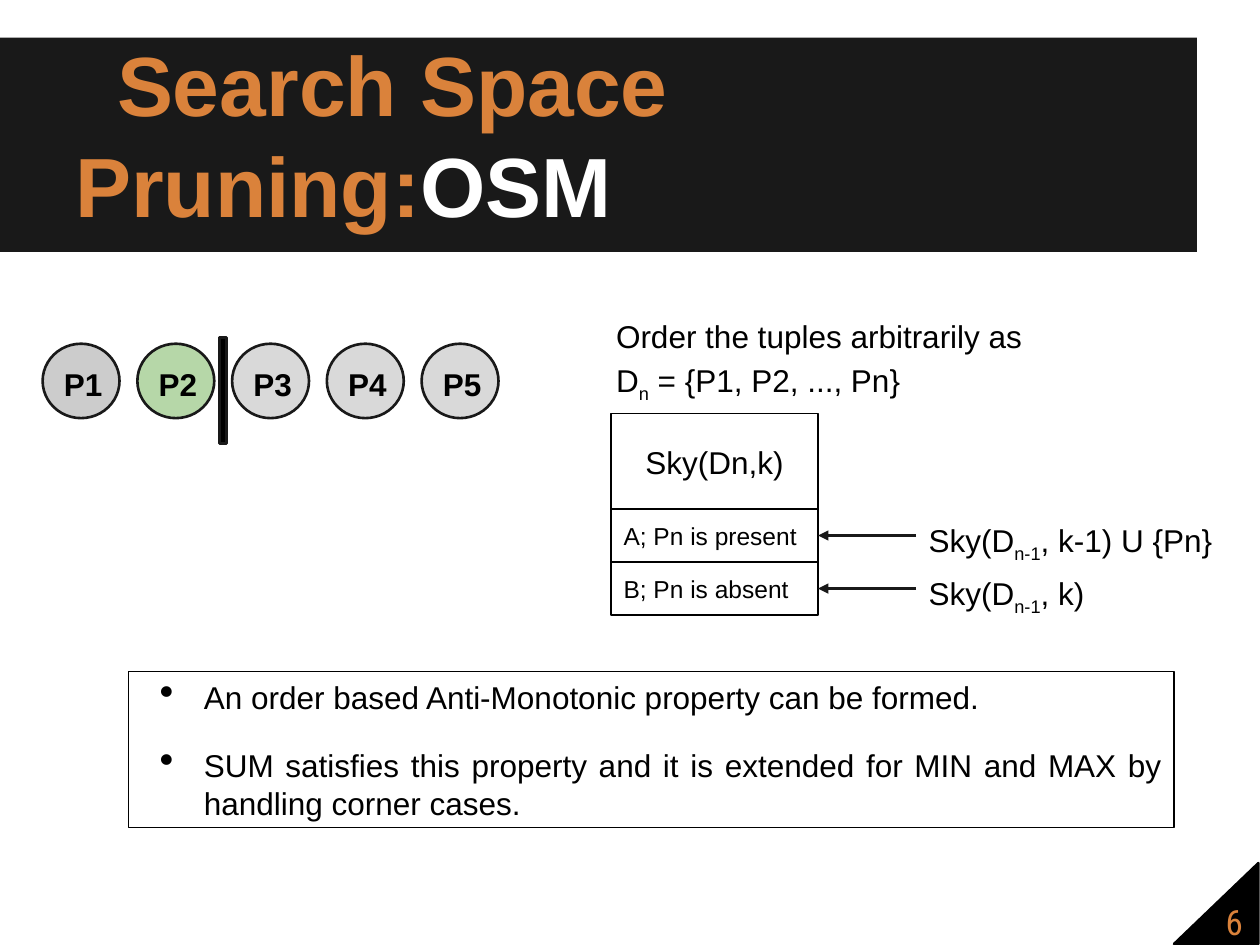
from lxml.etree import SubElement
from pptx import Presentation
from pptx.dml.color import RGBColor
from pptx.enum.shapes import MSO_CONNECTOR, MSO_SHAPE
from pptx.enum.text import MSO_ANCHOR, PP_ALIGN
from pptx.oxml.ns import qn
from pptx.util import Cm, Pt

BLACK, CHARCOAL, ORANGE, WHITE = "000000", "191919", "DA823B", "FFFFFF"
GREY, DARK_GREY, GREEN = "D9D9D9", "CCCCCC", "B6D7A8"
INSET = Cm(0.25)
BODY = {"name": "Arial", "size": Pt(18), "bold": False}
SMALL = BODY | {"size": Pt(14)}
BOLD = BODY | {"bold": True}
TITLE = BOLD | {"size": Pt(48)}
NUMBER = {"name": "Roboto Condensed", "size": Pt(20)}


def rgb(hex_color):
    return RGBColor.from_string(hex_color)


def apply(target, values):
    for attribute, value in values.items():
        setattr(target, attribute, value)


def add_box(slide, at, kind=MSO_SHAPE.RECTANGLE, fill=None, line=None, width=0.75):
    box = slide.shapes.add_shape(kind, *map(Cm, at))
    box.shadow.inherit = False
    if fill:
        box.fill.solid()
        box.fill.fore_color.rgb = rgb(fill)
    else:
        box.fill.background()
    if line:
        box.line.color.rgb = rgb(line)
        box.line.width = Pt(width)
    else:
        box.line.fill.background()
    return box


def add_text(slide, at, paragraphs, font=BODY, **layout):
    label = slide.shapes.add_textbox(*map(Cm, at))
    write(label, paragraphs, font, **layout)
    return label


def write(shape, paragraphs, font=BODY, color=BLACK, anchor=MSO_ANCHOR.TOP, **layout):
    """Fill a shape; a paragraph is a string or a list of (text, color, baseline)."""
    frame = shape.text_frame
    apply(frame, {"word_wrap": True, "vertical_anchor": anchor,
                  "margin_left": INSET, "margin_right": INSET,
                  "margin_top": INSET, "margin_bottom": INSET})
    for index, content in enumerate(paragraphs):
        paragraph = frame.add_paragraph() if index else frame.paragraphs[0]
        apply(paragraph, {"alignment": PP_ALIGN.LEFT} | layout)
        pieces = [(content, color, 0)] if isinstance(content, str) else content
        for text, piece_color, baseline in pieces:
            run = paragraph.add_run()
            run.text = text
            apply(run.font, font)
            run.font.color.rgb = rgb(piece_color)
            if baseline:
                run.font._element.set("baseline", str(baseline))


def subscripted(before, subscript, after):
    return [(before, BLACK, 0), (subscript, BLACK, -25000), (after, BLACK, 0)]


def indent(paragraph, left, first):
    properties = paragraph._p.get_or_add_pPr()
    properties.set("marL", str(Cm(left)))
    properties.set("indent", str(Cm(first)))
    return properties


def add_bullet(paragraph):
    properties = indent(paragraph, 1.27, -0.89)
    color = SubElement(properties, qn("a:buClr"))
    SubElement(color, qn("a:srgbClr"), val=BLACK)
    SubElement(properties, qn("a:buSzPct"), val="130000")
    SubElement(properties, qn("a:buChar"), char="•")


def add_arrow(slide, label, cell):
    """Point from the left side of a label to the right side of a cell."""
    arrow = slide.shapes.add_connector(MSO_CONNECTOR.STRAIGHT, 0, 0, 0, 0)
    arrow.begin_connect(label, 1)
    arrow.end_connect(cell, 3)
    arrow.line.color.rgb = rgb(CHARCOAL)
    arrow.line.width = Pt(1.5)
    SubElement(arrow.line._get_or_add_ln(), qn("a:tailEnd"), type="triangle")
    SubElement(arrow._element.spPr, qn("a:effectLst"))


def add_title(slide):
    add_box(slide, (0, 0.76, 24.13, 4.32), fill=CHARCOAL)
    title = add_text(slide, (1.27, 0.76, 23.04, 4.22),
                     [[("Search Space Pruning:", ORANGE, 0), ("OSM", WHITE, 0)]],
                     TITLE, anchor=MSO_ANCHOR.BOTTOM)
    indent(title.text_frame.paragraphs[0], 0, 0.84)


def add_findings(slide):
    findings = add_box(slide, (2.59, 13.54, 21.08, 3.15), line=BLACK)
    write(findings,
          ["An order based Anti-Monotonic property can be formed.",
           "SUM satisfies this property and it is extended for MIN and MAX by "
           "handling corner cases."],
          anchor=MSO_ANCHOR.MIDDLE, alignment=PP_ALIGN.JUSTIFY)
    first, second = findings.text_frame.paragraphs
    second.space_before = Pt(17)
    add_bullet(first)
    add_bullet(second)


def add_page_corner(slide):
    corner = add_box(slide, (23.67, 17.4, 1.7, 1.63), MSO_SHAPE.RIGHT_TRIANGLE,
                     BLACK, BLACK, 1.5)
    corner._element.spPr.get_or_add_xfrm().set("flipH", "1")
    add_text(slide, (24.26, 18.14, 1.24, 0.89), ["6"], NUMBER, color=ORANGE,
             anchor=MSO_ANCHOR.MIDDLE, alignment=PP_ALIGN.CENTER)


def add_recursion(slide):
    add_text(slide, (12.17, 6.02, 12.09, 1.73),
             ["Order the tuples arbitrarily as",
              subscripted("D", "n", " = {P1, P2, ..., Pn}")], line_spacing=1.15)
    left, width, height = 12.32, 4.17, 1.07
    skyline = add_box(slide, (left, 8.33, width, 1.95), line=BLACK)
    write(skyline, ["Sky(Dn,k)"], anchor=MSO_ANCHOR.MIDDLE,
          alignment=PP_ALIGN.CENTER)
    cases = [("A; Pn is present", ", k-1) U {Pn}"), ("B; Pn is absent", ", k)")]
    for row, (case, ending) in enumerate(cases):
        top = 10.26 + row * height
        cell = add_box(slide, (left, top, width, height), line=BLACK)
        write(cell, [case], SMALL)
        subproblem = add_text(slide, (18.47, top, 6.7, height),
                              [subscripted("Sky(D", "n-1", ending)])
        add_arrow(slide, subproblem, cell)


def add_tuples(slide):
    top = 6.93
    for index, fill in enumerate([DARK_GREY, GREEN, GREY, GREY, GREY]):
        left = 0.86 + index * 1.91
        add_box(slide, (left, top, 1.55, 1.5), MSO_SHAPE.OVAL, fill, CHARCOAL, 1.5)
        add_text(slide, (left + 0.18, top + 0.18, 1.47, 0.94), [f"P{index + 1}"], BOLD)
    add_box(slide, (4.42, 6.81, 0.15, 2.13), fill=BLACK, line=CHARCOAL, width=1.5)


def main():
    presentation = Presentation()
    presentation.slide_width, presentation.slide_height = Cm(25.4), Cm(19.05)
    slide = presentation.slides.add_slide(presentation.slide_layouts[6])
    add_title(slide)
    add_findings(slide)
    add_page_corner(slide)
    add_recursion(slide)
    add_tuples(slide)
    presentation.save("out.pptx")


if __name__ == "__main__":
    main()
